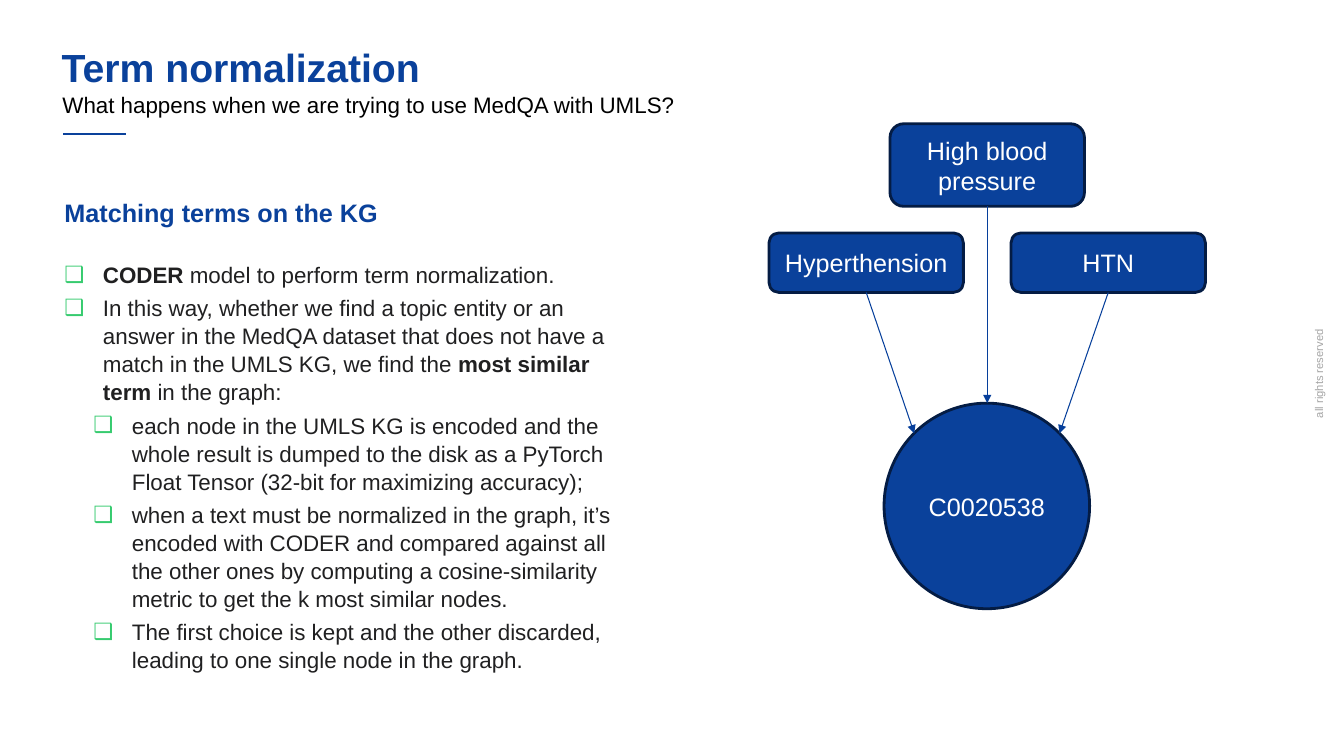
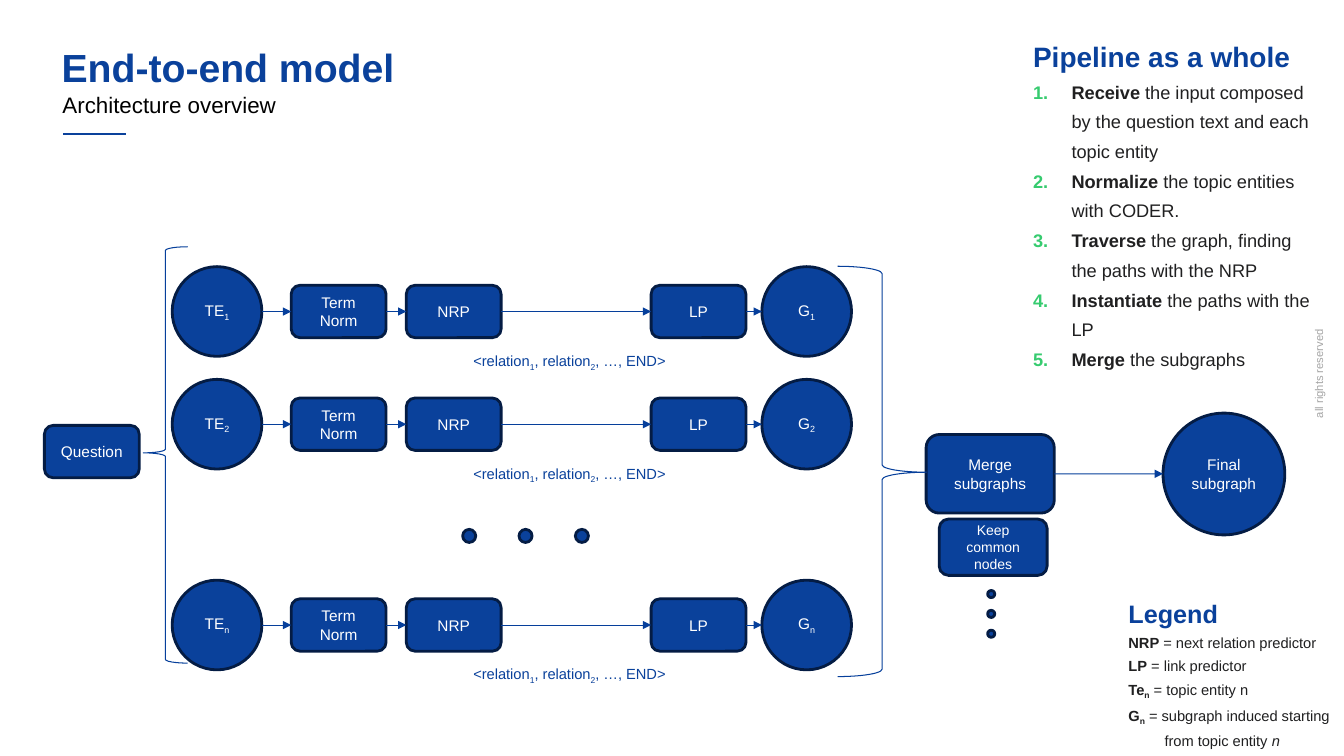
"""Build two slides on term normalization and the end-to-end model."""
from lxml import etree
from pptx import Presentation
from pptx.dml.color import RGBColor
from pptx.enum.shapes import MSO_CONNECTOR, MSO_SHAPE
from pptx.enum.text import MSO_ANCHOR, MSO_AUTO_SIZE, PP_ALIGN
from pptx.oxml.ns import qn
from pptx.util import Cm, Pt

STRAIGHT = MSO_CONNECTOR.STRAIGHT
ROUNDED, OVAL = MSO_SHAPE.ROUNDED_RECTANGLE, MSO_SHAPE.OVAL
LEFT_BRACE, RIGHT_BRACE = MSO_SHAPE.LEFT_BRACE, MSO_SHAPE.RIGHT_BRACE
TOP, MIDDLE = MSO_ANCHOR.TOP, MSO_ANCHOR.MIDDLE
FIXED = MSO_AUTO_SIZE.NONE
LEFT, CENTER = PP_ALIGN.LEFT, PP_ALIGN.CENTER
COLORS = {name: RGBColor.from_string(value) for name, value in {
    "blue": "0A419B", "navy": "041C44", "link": "063F9B", "text": "202021",
    "black": "000000", "white": "FFFFFF", "gray": "A5A5A5", "green": "36CB6F",
}.items()}
PLAIN = ("buNone", {})
SQUARE = ("buChar", {"char": "❑"})
NUMBER = ("buAutoNum", {"type": "arabicPeriod"})


def write(frame, spans, size, color, align=LEFT, spacing=1, after=0, level=0, margin=0, marker=PLAIN):
    """Add one paragraph of (text, style) spans; styles are b, i and _ for subscript."""
    para = frame.paragraphs[0]
    if para.runs:
        para = frame.add_paragraph()
    properties = para._p.get_or_add_pPr()
    properties.set("marL", str(Cm(margin)))
    properties.set("indent", str(0 if marker == PLAIN else Cm(-0.97)))
    if marker != PLAIN:
        tint = etree.SubElement(properties, qn("a:buClr"))
        etree.SubElement(tint, qn("a:srgbClr"), val=str(COLORS["green"]))
    tag, attributes = marker
    etree.SubElement(properties, qn("a:" + tag), attributes)
    para.alignment, para.level, para.line_spacing = align, level, spacing
    para.space_before, para.space_after = Pt(0), Pt(after)
    for text, style in spans:
        span = para.add_run()
        span.text = text
        span.font.name, span.font.size = "Arial", Pt(size)
        span.font.color.rgb = COLORS[color]
        span.font.bold, span.font.italic = "b" in style, "i" in style
        if "_" in style:
            span.font._element.set("baseline", "-25000")


def add_node(page, kind, left, top, width, height, spans=(), size=11):
    """Add a filled blue shape with centred white text."""
    node = page.shapes.add_shape(kind, Cm(left), Cm(top), Cm(width), Cm(height))
    node.shadow.inherit = False
    node.fill.solid()
    node.fill.fore_color.rgb = COLORS["blue"]
    node.line.color.rgb = COLORS["navy"]
    node.line.width = Pt(2)
    if spans:
        node.text_frame.vertical_anchor = MIDDLE
        write(node.text_frame, spans, size, "white", CENTER)
    return node


deck = Presentation()
deck.slide_width, deck.slide_height = Cm(33.87), Cm(19.05)
layout = deck.slide_layouts[3]
for holder, place in zip(layout.placeholders, [
    (1.3, 0.97, 29.64, 1.32), (1.32, 2.29, 29.62, 0.81), (1.37, 4.62, 14.66, 12.2),
]):
    holder.left, holder.top, holder.width, holder.height = map(Cm, place)
    holder.text_frame.vertical_anchor = TOP
    holder.text_frame.auto_size = FIXED

pages = []
for title, subtitle in [
    ("Term normalization", "What happens when we are trying to use MedQA with UMLS?"),
    ("End-to-end model", "Architecture overview"),
]:
    page = deck.slides.add_slide(layout)
    heading, caption = page.shapes.title.text_frame, page.placeholders[1].text_frame
    caption.margin_top = 0
    write(heading, [(title, "b")], 28, "blue")
    write(caption, [(subtitle, "")], 16, "black")
    pages.append(page)
terms, model = pages

rights = terms.shapes.add_textbox(Cm(31.74), Cm(8.98), Cm(3), Cm(0.61))
rights.rotation = 270
rights.text_frame.word_wrap = True
write(rights.text_frame, [("all rights reserved", "")], 8, "gray")
rule = terms.shapes.add_connector(STRAIGHT, Cm(1.6), Cm(3.38), Cm(3.18), Cm(3.38))
rule.line.color.rgb = COLORS["blue"]
rule.line.width = Pt(1.75)
etree.SubElement(rule.element.spPr, qn("a:effectLst"))
for shared in (rights, rule):
    layout.shapes.element.append(shared.element)

pipeline = model.placeholders[2]
pipeline.left, pipeline.top, pipeline.width, pipeline.height = Cm(25.78), Cm(0.61), Cm(7.57), Cm(8.74)
legend = model.shapes.add_textbox(Cm(28.19), Cm(14.73), Cm(5.67), Cm(4.3))
legend.text_frame.word_wrap = True

panels = [
    (terms.placeholders[2], "Matching terms on the KG", 18, 23, 16, 1.04, 4, SQUARE, (0.97, 1.7), [
        (0, [("CODER", "b"), (" model to perform term normalization.", "")]),
        (0, [("In this way, whether we find a topic entity or an answer in the MedQA dataset "
              "that does not have a match in the UMLS KG, we find the ", ""),
             ("most similar term", "b"), (" in the graph:", "")]),
        (1, [("each node in the UMLS KG is encoded and the whole result is dumped to the disk "
              "as a PyTorch Float Tensor (32-bit for maximizing accuracy);", "")]),
        (1, [("when a text must be normalized in the graph, it’s encoded with CODER and compared "
              "against all the other ones by computing a cosine-similarity metric to get the k "
              "most similar nodes.", "")]),
        (1, [("The first choice is kept and the other discarded, leading to one single node "
              "in the graph.", "")]),
    ]),
    (pipeline, "Pipeline as a whole", 20, 0, 13, 1.36, 0, NUMBER, (0.97,), [
        (0, [("Receive", "b"), (" the input composed by the question text and each topic entity", "")]),
        (0, [("Normalize", "b"), (" the topic entities with CODER.", "")]),
        (0, [("Traverse", "b"), (" the graph, finding the paths with the NRP", "")]),
        (0, [("Instantiate", "b"), (" the paths with the LP", "")]),
        (0, [("Merge", "b"), (" the subgraphs", "")]),
    ]),
    (legend, "Legend", 18, 0, 10.5, 1.3, 0, PLAIN, (0, 0.91), [
        (0, [("NRP", "b"), (" = next relation predictor", "")]),
        (0, [("LP", "b"), (" = link predictor", "")]),
        (0, [("Te", "b"), ("n", "b_"), (" = topic entity n", "")]),
        (0, [("G", "b"), ("n", "b_"), (" = subgraph induced starting", "")]),
        (1, [("from topic entity ", ""), ("n", "i")]),
    ]),
]
for box, heading, heading_size, gap, size, spacing, after, marker, margins, items in panels:
    write(box.text_frame, [(heading, "b")], heading_size, "blue", spacing=1.3, after=gap)
    for level, spans in items:
        write(box.text_frame, spans, size, "text", spacing=spacing, after=after,
              level=level, margin=margins[level], marker=marker)

links = []
add_node(terms, OVAL, 22.28, 10.16, 5.18, 5.18, [("C0020538", "")], 18)
for column, (term, top, height, end) in enumerate([
    ("Hyperthension", 5.87, 1.5, (23.04, 10.92)),
    ("High blood pressure", 3.12, 2.08, (24.88, 10.16)),
    ("HTN", 5.87, 1.5, (26.7, 10.92)),
]):
    left = 19.38 + 3.05 * column
    node = add_node(terms, ROUNDED, left, top, 4.9, height, [(term, "")], 18)
    links.append((terms, (left + 2.45, top + height), end, (node, 2), None))

for index, middle in [("1", 7.85), ("2", 10.69), ("n", 15.75)]:
    previous, edge = None, None
    for kind, left, width, height, spans in [
        (OVAL, 4.34, 2.26, 2.26, [("TE", ""), (index, "_")]),
        (ROUNDED, 7.34, 2.39, 1.32, [("Term Norm", "")]),
        (ROUNDED, 10.24, 2.39, 1.32, [("NRP", "")]),
        (ROUNDED, 16.41, 2.39, 1.32, [("LP", "")]),
        (OVAL, 19.2, 2.26, 2.26, [("G", ""), (index, "_")]),
    ]:
        node = add_node(model, kind, left, middle - height / 2, width, height, spans)
        if edge:
            target = (node, 1) if kind == ROUNDED else None
            links.append((model, (edge, middle), (left, middle), previous, target))
        previous = (node, 3) if kind == ROUNDED else None
        edge = left + width
    relations = model.shapes.add_textbox(Cm(11.68), Cm(middle + 0.89), Cm(6.1), Cm(0.71))
    relations.text_frame.word_wrap = True
    write(relations.text_frame, [("<relation", ""), ("1", "_"), (", relation", ""),
                                 ("2", "_"), (", …, END>", "")], 10.5, "blue")

add_node(model, ROUNDED, 1.12, 10.72, 2.39, 1.32, [("Question", "")])
merge = add_node(model, ROUNDED, 23.34, 10.95, 3.23, 1.98, [("Merge subgraphs", "")])
add_node(model, ROUNDED, 23.67, 13.08, 2.72, 1.42, [("Keep common nodes", "")], 10)
add_node(model, OVAL, 29.31, 10.41, 3.07, 3.07, [("Final subgraph", "")])
links.append((model, (26.57, 11.94), (29.31, 11.94), (merge, 3), None))
for step in range(3):
    add_node(model, OVAL, 11.66 + 1.42 * step, 13.34, 0.33, 0.33)
    add_node(model, OVAL, 24.89, 14.88 + 0.5 * step, 0.18, 0.18)

for kind, place, point in [
    (LEFT_BRACE, (3.61, 6.22, 1.12, 10.49), 0.495),
    (RIGHT_BRACE, (21.11, 6.71, 2.24, 10.34), 0.502),
]:
    brace = model.shapes.add_shape(kind, *map(Cm, place))
    brace.shadow.inherit = False
    brace.fill.background()
    brace.line.color.rgb = COLORS["link"]
    brace.line.width = Pt(0.75)
    brace.adjustments[0], brace.adjustments[1] = 0.083, point

for page, start, end, source, target in links:
    arrow = page.shapes.add_connector(STRAIGHT, *map(Cm, start + end))
    if source:
        arrow.begin_connect(*source)
    if target:
        arrow.end_connect(*target)
    arrow.line.color.rgb = COLORS["link"]
    arrow.line.width = Pt(0.75)
    etree.SubElement(arrow.line._get_or_add_ln(), qn("a:tailEnd"), type="triangle")
    etree.SubElement(arrow.element.spPr, qn("a:effectLst"))

deck.save("out.pptx")
